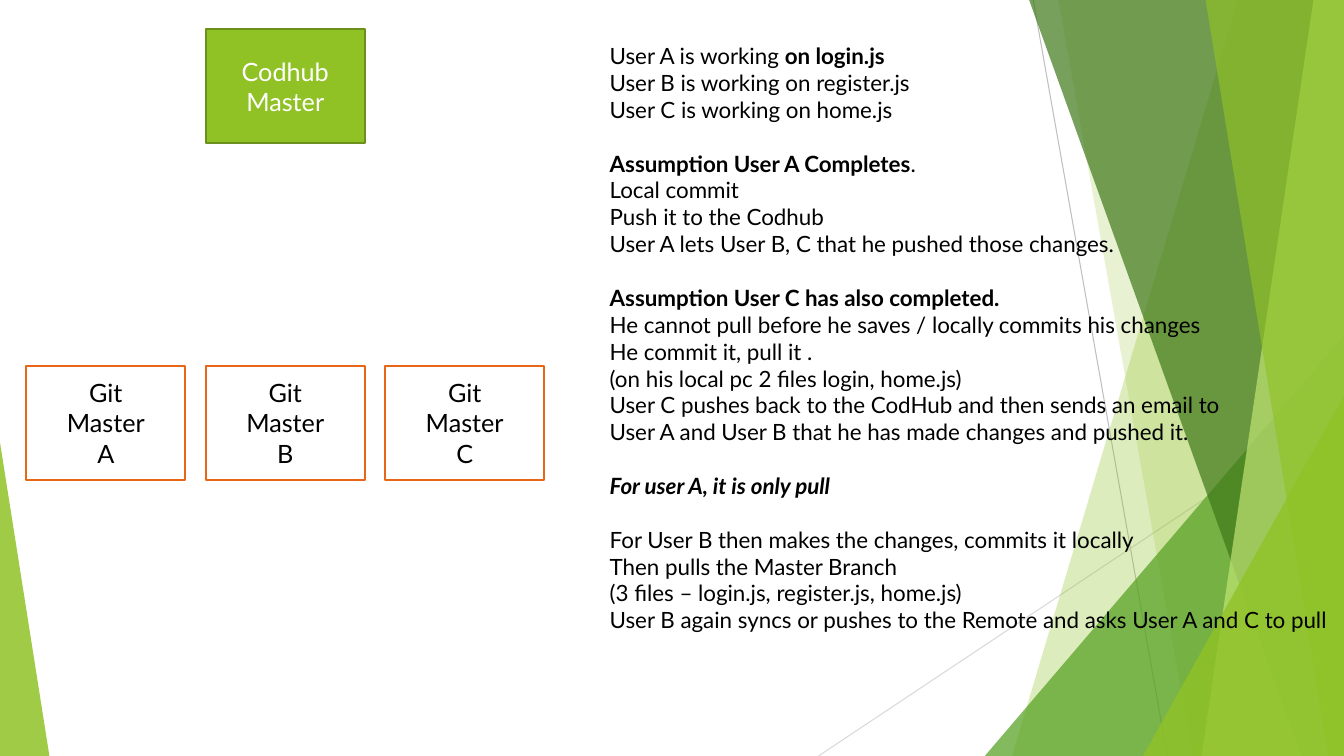
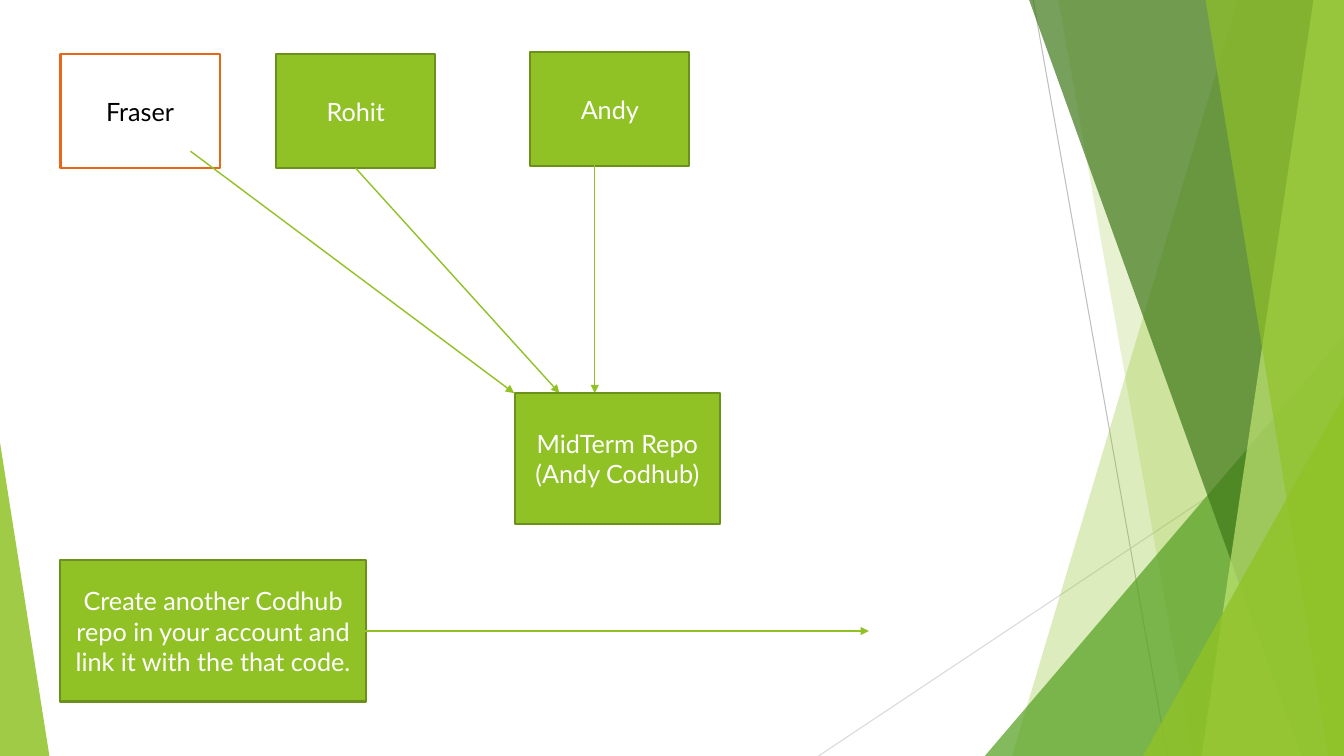
from lxml import etree
from pptx import Presentation
from pptx import util as u
from pptx.dml import color
from pptx.enum import shapes, text
from pptx.oxml import ns

CELL = u.Inches(0.1)  # the grid: columns and rows of a tenth of an inch
WIDE, HIGH = 133.33, 75
BOX = (15.8, 11.3)
COLOURS = {
    "white": "FFFFFF", "ink": "000000", "lime": "90C226", "olive": "6B901C",
    "orange": "E76618", "leaf": "54A021", "forest": "3F7819", "pale": "C0E474",
    "grey": "BFBFBF", "mist": "D9D9D9",
}
FILLED = {"fill": "lime", "line": "olive", "ink": "white"}
OUTLINED = {"fill": "white", "line": "orange", "ink": "ink"}


def rgb(name):
    """Return a named colour."""
    return color.RGBColor.from_string(COLOURS[name])


def cells(*lengths):
    """Turn grid lengths into slide units."""
    return [round(length * CELL) for length in lengths]


def assign(target, values):
    """Set each named attribute on the target."""
    for name, value in values.items():
        setattr(target, name, value)


class Painter:
    """Holds the style and the slide being drawn."""

    font = "Lato"

    def __init__(self):
        """Start a deck of the right size."""
        self.deck = Presentation()
        self.page = None
        width, height = cells(WIDE, HIGH)
        assign(self.deck, {"slide_width": width, "slide_height": height})

    def new_page(self):
        """Add a blank slide with the shared backdrop."""
        self.page = self.deck.slides.add_slide(self.deck.slide_layouts[6])
        self.line((102.5, 0), (115.8, HIGH), "grey", 0.75)
        self.line((WIDE, 40.3), (81.2, HIGH), "mist", 0.75)
        self.shard(122.8, 100.4, "lime", 30)
        self.shard(105, 118.3, "lime", 20)
        self.corner(97.7, 33.3, 35.63, "leaf", 72)
        self.shard(102.1, 129.1, "forest", 70)
        self.shard(130.3, 119.2, "pale", 70)
        self.shard(119.6, 131.8, "lime", 65)
        self.corner(113.4, 39.3, 19.93, "lime", 80)
        self.corner(0, 43.9, 4.9, "lime", 85, peak=0)

    def tint(self, shape, fill, opacity):
        """Give a shape a see-through fill and no outline."""
        shape.shadow.inherit = False
        shape.fill.solid()
        shape.fill.fore_color.rgb = rgb(fill)
        shape.line.fill.background()
        tone = shape.element.spPr.find(".//" + ns.qn("a:srgbClr"))
        etree.SubElement(tone, ns.qn("a:alpha"), val=str(opacity * 1000))

    def shard(self, top, bottom, fill, opacity):
        """Fill from a slanted edge to the right side of the slide."""
        points = [cells(*point) for point in
                  ((top, 0), (WIDE, 0), (WIDE, HIGH), (bottom, HIGH))]
        outline = self.page.shapes.build_freeform(*points[0])
        outline.add_line_segments(points[1:])
        self.tint(outline.convert_to_shape(), fill, opacity)

    def corner(self, left, top, width, fill, opacity, peak=1):
        """Draw a right triangle standing on the bottom edge."""
        shape = self.page.shapes.add_shape(
            shapes.MSO_SHAPE.ISOSCELES_TRIANGLE,
            *cells(left, top, width, HIGH - top))
        shape.adjustments[0] = peak
        self.tint(shape, fill, opacity)

    def line(self, start, end, tone="lime", width=1, arrow=False):
        """Draw a straight line, with an arrowhead if asked."""
        line = self.page.shapes.add_connector(
            shapes.MSO_CONNECTOR.STRAIGHT, *cells(*start, *end))
        line.line.color.rgb = rgb(tone)
        line.line.width = u.Pt(width)
        properties = line.element.spPr
        if arrow:
            etree.SubElement(properties.find(ns.qn("a:ln")),
                             ns.qn("a:tailEnd"), type="triangle")
        etree.SubElement(properties, ns.qn("a:effectLst"))

    def add_span(self, para, words, size, ink, marks=""):
        """Add a span of text; marks may hold b and i."""
        span = para.add_run()
        span.text = words
        assign(span.font, {"name": self.font, "size": u.Pt(size),
                           "bold": "b" in marks, "italic": "i" in marks})
        span.font.color.rgb = rgb(ink)

    def paragraphs(self, frame, count):
        """Yield the given number of paragraphs of a text frame."""
        for index in range(count):
            yield frame.add_paragraph() if index else frame.paragraphs[0]

    def box(self, left, top, lines, look=FILLED, size=BOX):
        """Draw a rectangle with centred lines of text."""
        box = self.page.shapes.add_shape(
            shapes.MSO_SHAPE.RECTANGLE, *cells(left, top, *size))
        box.shadow.inherit = False
        box.fill.solid()
        box.fill.fore_color.rgb = rgb(look["fill"])
        box.line.color.rgb = rgb(look["line"])
        box.line.width = u.Pt(1.5)
        frame = box.text_frame
        assign(frame, {"word_wrap": True,
                       "vertical_anchor": text.MSO_ANCHOR.MIDDLE})
        for para, words in zip(self.paragraphs(frame, len(lines)), lines):
            para.alignment = text.PP_ALIGN.CENTER
            self.add_span(para, words, 18, look["ink"])

    def story(self, left, top, width, height, blocks, size=16):
        """Set blocks of lines, one line's height apart."""
        box = self.page.shapes.add_textbox(*cells(left, top, width, height))
        frame = box.text_frame
        frame.word_wrap = True
        paras = self.paragraphs(frame, sum(map(len, blocks)))
        for number, block in enumerate(blocks):
            for row, spans in enumerate(block):
                para = next(paras)
                para.alignment = text.PP_ALIGN.LEFT
                if number and not row:
                    para.space_before = u.Pt(size * 1.2)
                for words, marks in spans:
                    self.add_span(para, words, size, "ink", marks)


def plain(*lines):
    """Return lines of one unmarked span each."""
    return [[(words, "")] for words in lines]


STORY = [
    [[("User A is working ", ""), ("on login.js", "b")],
     *plain("User B is working on register.js",
            "User C is working on home.js")],
    [[("Assumption User A Completes", "b"), (".", "")],
     *plain("Local commit",
            "Push it to the Codhub",
            "User A lets User B, C that he pushed those changes.")],
    [[("Assumption User C has also completed.", "b")],
     *plain("He cannot pull before he saves / locally commits his changes",
            "He commit it, pull it .",
            "(on his local pc 2 files login, home.js)",
            "User C pushes back to the CodHub and then sends an email to",
            "User A and User B that he has made changes and pushed it.")],
    [[("For user A, it is only pull", "bi")]],
    plain("For User B then makes the changes, commits it locally",
          "Then pulls the Master Branch",
          "(3 files – login.js, register.js, home.js)",
          "User B again syncs or pushes to the Remote and asks User A and C "
          "to pull"),
]


def workflow(painter):
    """Draw the master, its three clones and the story."""
    painter.new_page()
    lefts = [2.6 + 17.8 * column for column in range(3)]
    painter.box(lefts[1], 2.9, ["Codhub", "Master"])
    for left, user in zip(lefts, "ABC"):
        painter.box(left, 36.3, ["Git", "Master", user], OUTLINED)
    painter.story(59.5, 3.7, 75.5, 60.2, STORY)


def repository(painter):
    """Draw three people feeding one repository."""
    painter.new_page()
    painter.box(27.4, 5.4, ["Rohit"])
    painter.box(6, 5.4, ["Fraser"], OUTLINED)
    painter.box(52.6, 5.2, ["Andy"])
    for start, end in (((35.3, 16.7), 55.5), ((59, 16), 59), ((18.9, 15), 51)):
        painter.line(start, (end, 39), arrow=True)
    painter.box(51.1, 39, ["MidTerm Repo", "(Andy Codhub)"], size=(20.3, 13))
    painter.box(6, 55.6, ["Create another Codhub repo in your account and "
                          "link it with the that code."], size=(30.3, 14))
    painter.line((34.9, 62.6), (86.2, 62.6), arrow=True)


painter = Painter()
workflow(painter)
repository(painter)
painter.deck.save("out.pptx")
